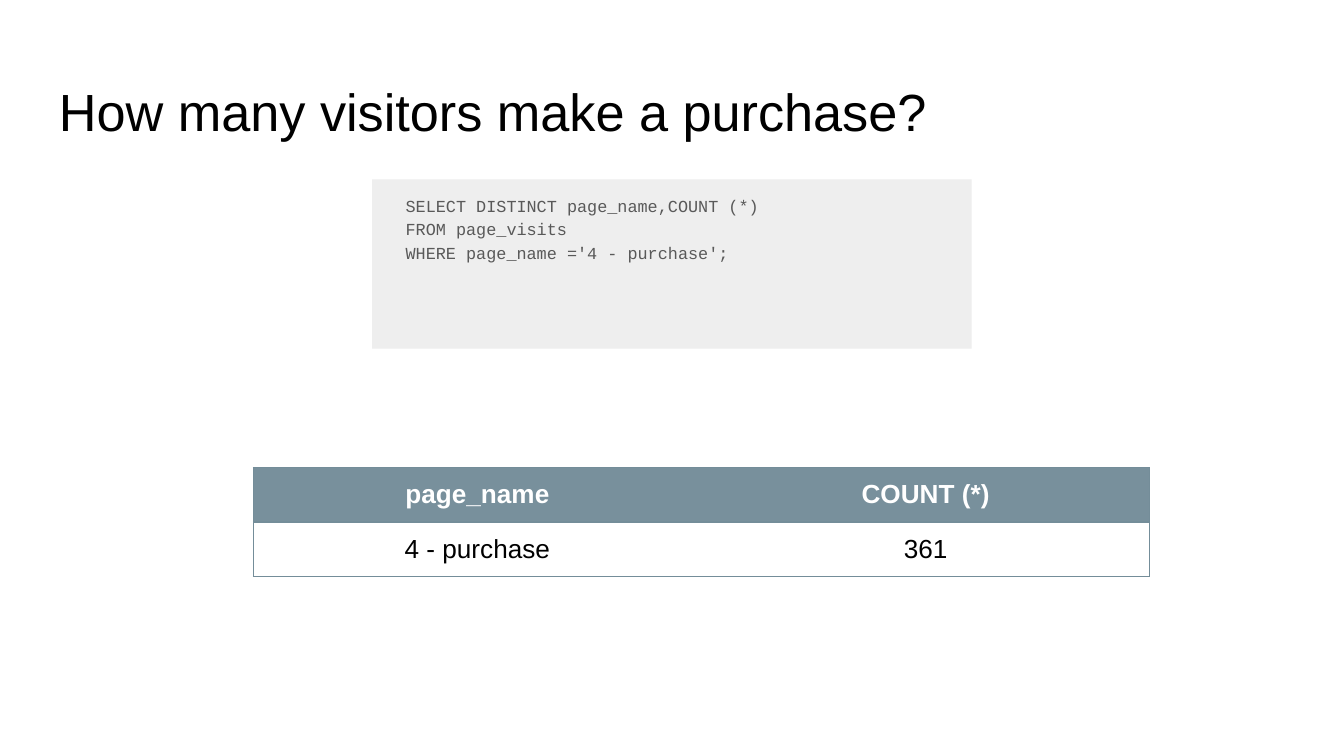
from dataclasses import dataclass

import pptx
import pptx.dml.color
import pptx.enum.shapes
import pptx.enum.text
import pptx.oxml
import pptx.oxml.ns
import pptx.util

EMU_PER_PX = 4572  # 200 px to the inch
BORDER_COLOR = "748D99"
HEADER_FILL = "78909C"


@dataclass(frozen=True)
class Box:
    left: int
    top: int
    width: int
    height: int

    def emu(self) -> list[int]:
        return [px(n) for n in (self.left, self.top, self.width, self.height)]


@dataclass(frozen=True)
class TextStyle:
    font: str
    size: int
    color: str
    bold: bool = False


@dataclass(frozen=True)
class TableRow:
    values: tuple[str, ...]
    style: TextStyle
    fill: str


def px(length: int) -> int:
    return pptx.util.Emu(length * EMU_PER_PX)


def rgb(color: str) -> pptx.dml.color.RGBColor:
    return pptx.dml.color.RGBColor.from_string(color)


def add_run(paragraph, text: str, style: TextStyle) -> None:
    run = paragraph.add_run()
    run.text = text
    run.font.name = style.font
    run.font.size = pptx.util.Pt(style.size)
    run.font.bold = style.bold
    run.font.color.rgb = rgb(style.color)


def prepare_frame(shape):
    frame = shape.text_frame
    frame.word_wrap = True
    frame.vertical_anchor = pptx.enum.text.MSO_ANCHOR.TOP
    frame.margin_left = frame.margin_right = px(20)
    frame.margin_top = frame.margin_bottom = px(20)
    return frame


def add_title(slide, box: Box, text: str, style: TextStyle) -> None:
    frame = prepare_frame(slide.shapes.add_textbox(*box.emu()))
    add_run(frame.paragraphs[0], text, style)


def add_code(slide, box: Box, lines: tuple[str, ...], style: TextStyle) -> None:
    shape = slide.shapes.add_shape(
        pptx.enum.shapes.MSO_SHAPE.RECTANGLE, *box.emu())
    shape.shadow.inherit = False
    shape.fill.solid()
    shape.fill.fore_color.rgb = rgb("EEEEEE")
    shape.line.fill.background()
    frame = prepare_frame(shape)
    for index, line in enumerate(lines):
        paragraph = frame.add_paragraph() if index else frame.paragraphs[0]
        paragraph.alignment = pptx.enum.text.PP_ALIGN.LEFT
        paragraph.line_spacing = 1.15
        properties = paragraph._p.get_or_add_pPr()
        properties.set("marL", str(px(30)))
        properties.set("indent", "0")
        add_run(paragraph, line, style)


def set_borders(cell, sides: str) -> None:
    """Draw the named sides (L, R, T, B) and clear the others."""
    properties = cell._tc.get_or_add_tcPr()
    for index, side in enumerate("LRTB"):
        if side in sides:
            paint = f'<a:solidFill><a:srgbClr val="{BORDER_COLOR}"/></a:solidFill>'
        else:
            paint = "<a:noFill/>"
        line = pptx.oxml.parse_xml(
            f'<a:ln{side} {pptx.oxml.ns.nsdecls("a")} w="{pptx.util.Pt(0.75)}">'
            f"{paint}</a:ln{side}>")
        properties.insert(index, line)


def add_table(slide, box: Box, rows: tuple[TableRow, ...]) -> None:
    column_count = len(rows[0].values)
    table = slide.shapes.add_table(len(rows), column_count, *box.emu()).table
    table.first_row = table.horz_banding = False
    for row_index, row in enumerate(rows):
        for column_index, value in enumerate(row.values):
            cell = table.cell(row_index, column_index)
            cell.fill.solid()
            cell.fill.fore_color.rgb = rgb(row.fill)
            cell.vertical_anchor = pptx.enum.text.MSO_ANCHOR.MIDDLE
            paragraph = cell.text_frame.paragraphs[0]
            paragraph.alignment = pptx.enum.text.PP_ALIGN.CENTER
            add_run(paragraph, value, row.style)
            left = "L" if column_index == 0 else ""
            right = "R" if column_index == column_count - 1 else ""
            set_borders(cell, "TB" + left + right)


def main() -> None:
    presentation = pptx.Presentation()
    presentation.slide_width = px(2000)
    presentation.slide_height = px(1125)
    slide = presentation.slides.add_slide(presentation.slide_layouts[6])

    # Title
    add_title(slide, Box(68, 98, 1864, 126), "How many visitors make a purchase?",
              TextStyle("Arial", 28, "000000"))

    # Query
    query = (
        "SELECT DISTINCT page_name,COUNT (*)",
        "FROM page_visits",
        "WHERE page_name ='4 - purchase';",
    )
    add_code(slide, Box(554, 267, 892, 252), query,
             TextStyle("Courier New", 9, "595959"))

    # Query result
    add_table(slide, Box(377, 696, 1334, 162), (
        TableRow(("page_name", "COUNT (*)"),
                 TextStyle("Arial", 14, "FFFFFF", bold=True), HEADER_FILL),
        TableRow(("4 - purchase", "361"),
                 TextStyle("Arial", 14, "000000"), "FFFFFF"),
    ))

    presentation.save("out.pptx")


if __name__ == "__main__":
    main()
